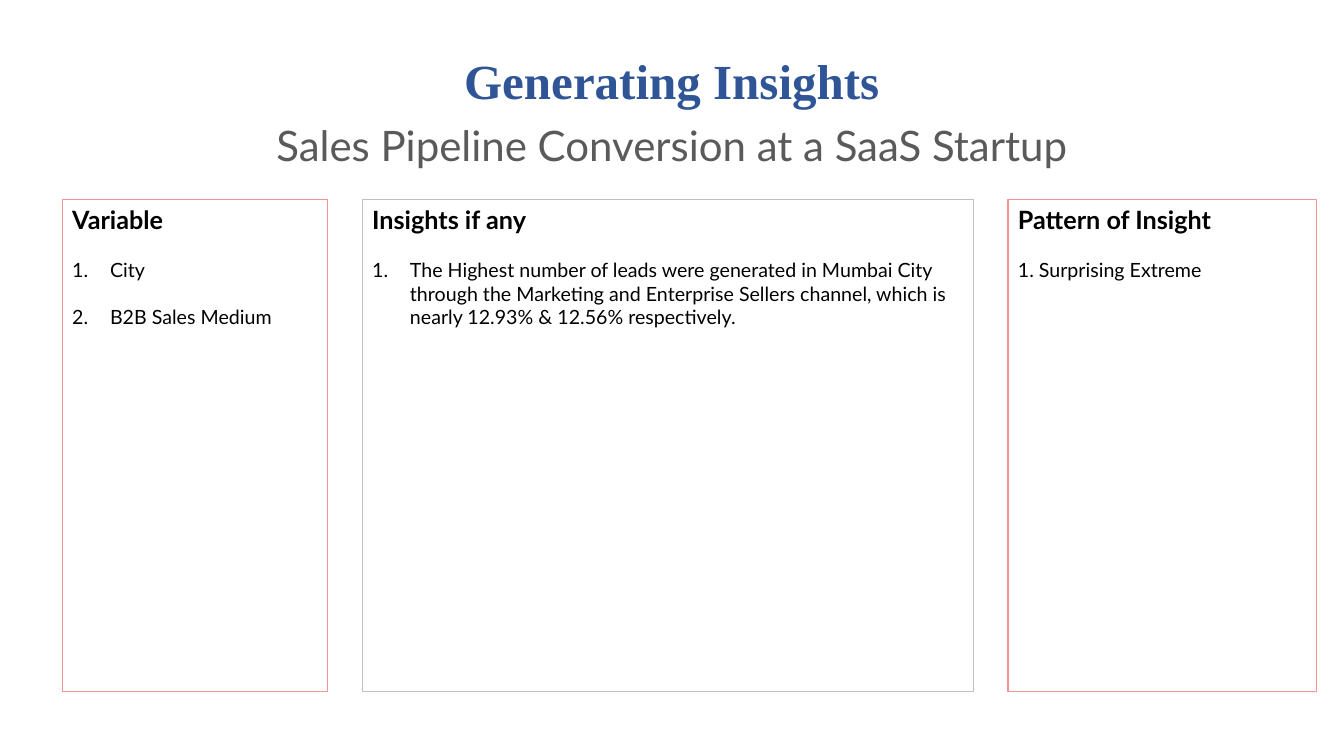
from lxml.etree import SubElement
from pptx import Presentation
from pptx.dml.color import RGBColor
from pptx.enum.shapes import MSO_SHAPE
from pptx.enum.text import MSO_ANCHOR, MSO_AUTO_SIZE, PP_ALIGN
from pptx.oxml.ns import qn
from pptx.util import Pt

THEME = {
    "heading": {"name": "Times New Roman", "size": Pt(35), "bold": True, "color": "2F5597"},
    "subtitle": {"name": "Lato", "size": Pt(30), "bold": False, "color": "5A5A5A"},
    "label": {"name": "Lato", "size": Pt(18), "bold": True, "color": "000000"},
    "body": {"name": "Lato", "size": Pt(14), "bold": False, "color": "000000"},
    "red": "F69492",
    "grey": "BFBFBF",
}

TITLE = [("Generating Insights", "heading", 0),
         ("Sales Pipeline Conversion at a SaaS Startup", "subtitle", 10.8)]

# label, items, numbered, width, border
PANELS = [
    ("Variable", ["City", "B2B Sales Medium"], True, 189.5, "red"),
    ("Insights if any",
     ["The Highest number of leads were generated in Mumbai City through the "
      "Marketing and Enterprise Sellers channel, which is nearly 12.93% & 12.56% "
      "respectively."], True, 436.5, "grey"),
    ("Pattern of Insight", ["1. Surprising Extreme"], False, 220.5, "red"),
]

PANEL_LEFT, PANEL_TOP, PANEL_HEIGHT, PANEL_GAP = 44.5, 142.5, 351.5, 24.75
ITEM_GAP = 16.8
NUMBER_INDENT = 27


def write(para, text, style):
    span = para.add_run()
    span.text = text
    for key, value in THEME[style].items():
        if key == "color":
            span.font.color.rgb = RGBColor.from_string(value)
        else:
            setattr(span.font, key, value)


def format_frame(frame, anchor):
    settings = {"word_wrap": True, "auto_size": MSO_AUTO_SIZE.NONE, "vertical_anchor": anchor,
                "margin_left": Pt(7.2), "margin_right": Pt(7.2),
                "margin_top": Pt(3.6), "margin_bottom": Pt(3.6)}
    for key, value in settings.items():
        setattr(frame, key, value)


def number(para):
    """Give the paragraph an automatic number with a hanging indent."""
    properties = para._p.get_or_add_pPr()
    properties.set("marL", str(Pt(NUMBER_INDENT)))
    properties.set("indent", str(-Pt(NUMBER_INDENT)))
    color = SubElement(properties, qn("a:buClr"))
    SubElement(color, qn("a:srgbClr"), val=THEME["body"]["color"])
    SubElement(properties, qn("a:buFont"), typeface="+mj-lt")
    SubElement(properties, qn("a:buAutoNum"), type="arabicPeriod")


def add_title(page):
    title = page.shapes.title
    title.left, title.top, title.width, title.height = Pt(66), Pt(28.75), Pt(828), Pt(104.5)
    frame = title.text_frame
    format_frame(frame, MSO_ANCHOR.MIDDLE)
    for index, (text, style, gap) in enumerate(TITLE):
        para = frame.add_paragraph() if index else frame.paragraphs[0]
        para.alignment = PP_ALIGN.CENTER
        para.line_spacing = 0.9
        para.space_before = Pt(gap)
        write(para, text, style)


def add_panel(page, left, label, items, numbered, width, border):
    box = page.shapes.add_shape(MSO_SHAPE.RECTANGLE, Pt(left), Pt(PANEL_TOP),
                                Pt(width), Pt(PANEL_HEIGHT))
    box.shadow.inherit = False
    box.fill.background()
    box.line.color.rgb = RGBColor.from_string(THEME[border])
    box.line.width = Pt(0.75)
    frame = box.text_frame
    format_frame(frame, MSO_ANCHOR.TOP)
    frame.paragraphs[0].alignment = PP_ALIGN.LEFT
    write(frame.paragraphs[0], label, "label")
    for item in items:
        para = frame.add_paragraph()
        para.alignment = PP_ALIGN.LEFT
        para.space_before = Pt(ITEM_GAP)
        if numbered:
            number(para)
        write(para, item, "body")


def main():
    deck = Presentation()
    deck.slide_width, deck.slide_height = Pt(960), Pt(540)
    page = deck.slides.add_slide(deck.slide_layouts[5])
    add_title(page)
    left = PANEL_LEFT
    for label, items, numbered, width, border in PANELS:
        add_panel(page, left, label, items, numbered, width, border)
        left += width + PANEL_GAP
    deck.save("out.pptx")


if __name__ == "__main__":
    main()
